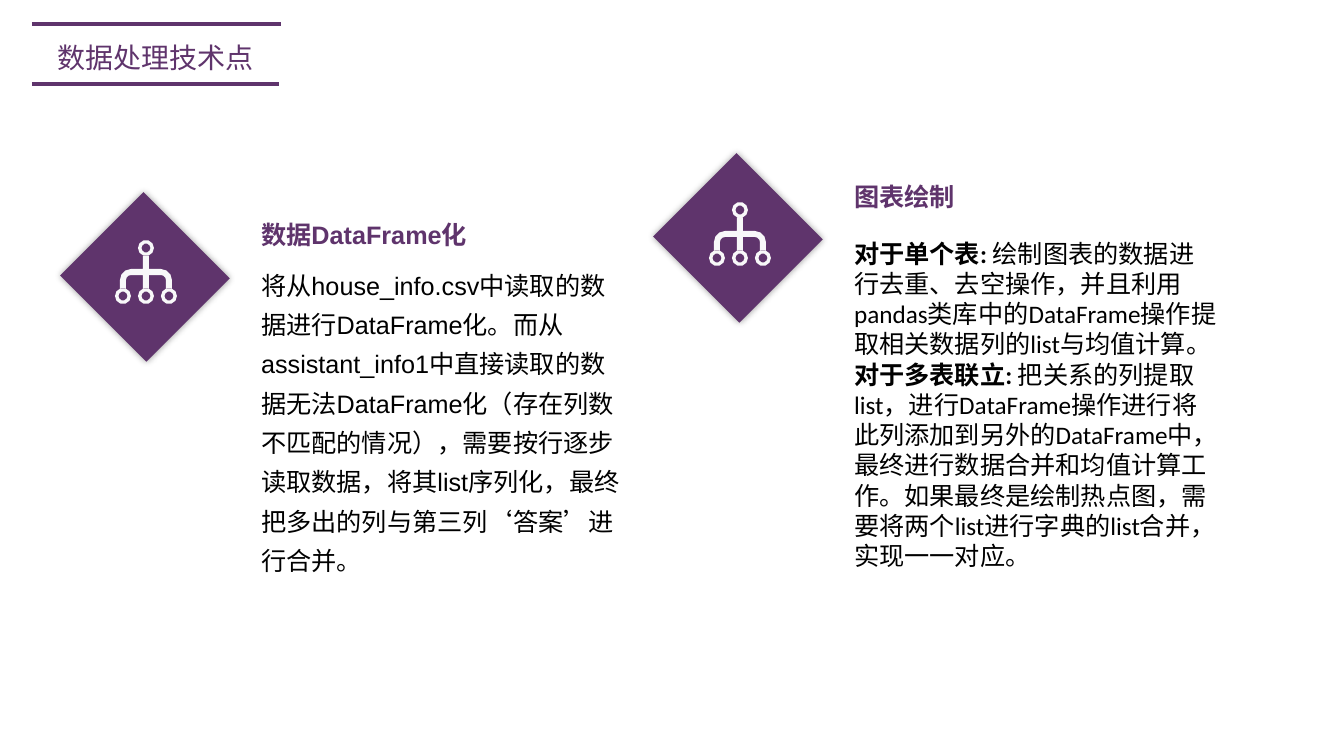
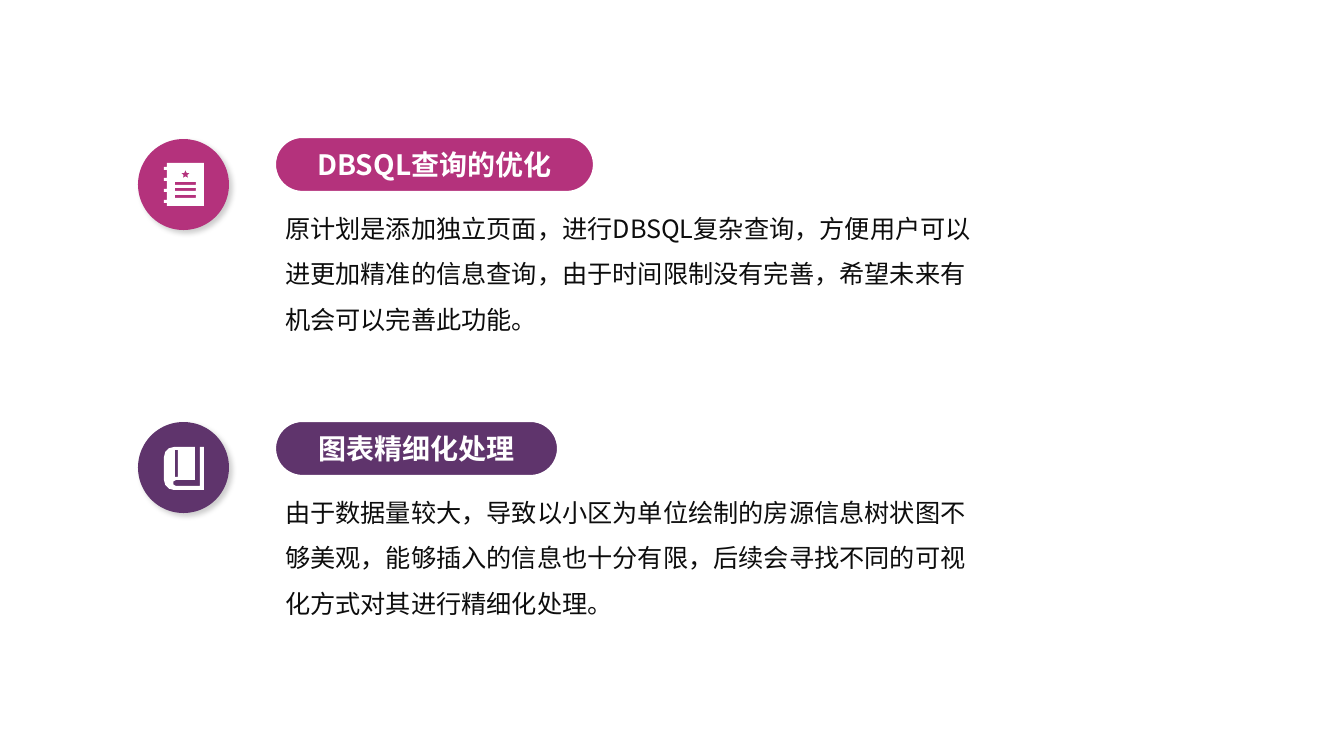
from math import cos, pi, sin

from lxml import etree
from pptx import Presentation
from pptx import util as u
from pptx.dml.color import RGBColor
from pptx.enum import shapes as kinds, text as t
from pptx.oxml.ns import qn

PX = 914400 / 100.8
HUES = {"plum": "5F346C", "pink": "B4327C", "white": "FFFFFF",
        "pale": "F8F8F9", "black": "000000", "ink": "0D0D0D"}
CJK = "Noto Sans CJK SC"

# Text looks: font, paragraph and frame values
LEFT, MID = t.PP_ALIGN.LEFT, t.PP_ALIGN.CENTER
TOP, CORE = t.MSO_ANCHOR.TOP, t.MSO_ANCHOR.MIDDLE
LOOKS = {
    name: {"hue": hue,
           "font": {"name": face, "size": u.Pt(size)},
           "para": {"alignment": align, "line_spacing": space,
                    "space_before": u.Pt(0)},
           "frame": {"word_wrap": True, "vertical_anchor": anchor,
                     "auto_size": t.MSO_AUTO_SIZE.NONE}}
    for name, face, size, hue, space, align, anchor in (
        ("title", CJK, 20, "plum", 1.2, MID, TOP),
        ("head", "Arial", 18, "plum", 1.0, LEFT, TOP),
        ("loose", "Arial", 18, "black", 1.3, LEFT, TOP),
        ("tight", "Calibri", 18, "black", 1.0, LEFT, TOP),
        ("pill", CJK, 20, "white", 1.0, MID, CORE),
        ("note", CJK, 18, "ink", 1.5, LEFT, TOP))
}


def write(shape, box, style, *runs):
    """Place a shape and fill it with one paragraph; runs are (text, bold)."""
    for name, length in zip(("left", "top", "width", "height"), box):
        setattr(shape, name, u.Emu(round(length * PX)))
    frame = shape.text_frame
    para = frame.paragraphs[0]
    for part, item in (("frame", frame), ("para", para)):
        for name, value in style[part].items():
            setattr(item, name, value)
    props = para._p.get_or_add_pPr()
    props.set("marL", "0")
    props.set("indent", "0")
    etree.SubElement(props, qn("a:buNone"))
    for words, bold in runs:
        run = para.add_run()
        run.text = words
        for name, value in (style["font"] | {"bold": bold}).items():
            setattr(run.font, name, value)
        run.font.color.rgb = RGBColor.from_string(HUES[style["hue"]])
        if style["font"]["name"] == CJK:
            etree.SubElement(run._r.rPr, qn("a:ea"), typeface=CJK)


def arc(x, y, r, start, end, steps=3):
    """Points along an arc, angles in degrees."""
    turns = [(start + (end - start) * i / steps) * pi / 180
             for i in range(steps + 1)]
    return [(x + r * cos(a), y + r * sin(a)) for a in turns]


# Icon outlines, in px from the icon's top left corner
tree = [
    [(5, 49), *arc(16, 40, 11, 180, 270), *arc(46, 40, 11, 270, 360), (57, 49),
     (51, 49), *arc(46, 40, 5, 360, 270), *arc(16, 40, 5, 270, 180), (11, 49)],
    [(28, 16), (34, 16), (34, 29), (28, 29)],
    [(28, 35), (34, 35), (34, 49), (28, 49)],
]
for x, y in ((31, 8), (8, 56), (31, 56), (54, 56)):
    tree += [arc(x, y, r, 0, 360, 10)[:-1] for r in (8, 4.5)]

edge = [p for y in range(4, 38, 11)
        for p in ((3, y), (0, y), (0, y + 3), (3, y + 3))]
star = [arc(21.5, 11.5, (4.5, 2)[i % 2], i * 36 - 90, 0)[0] for i in range(10)]
rows = [[(11, y), (32, y), (32, y + 3), (11, y + 3)] for y in (19, 25, 32)]
pad = [[(3, 0), *edge, (3, 43), (40, 43), (40, 0)], star, *rows]

book = [
    [(40, 0), (36, 0), (36, 39), *arc(12, 36, 3, 90, 270), (31, 33), (31, 0),
     *arc(10, 10, 10, 270, 180), *arc(10, 33, 10, 180, 90), (40, 43)],
    [(11, 3), (14, 3), (14, 30), (11, 30)],
]

# Deck
deck = Presentation()
deck.slide_width, deck.slide_height = u.Emu(round(1344 * PX)), u.Emu(round(756 * PX))
tech = deck.slides.add_slide(deck.slide_layouts[4])
plan = deck.slides.add_slide(deck.slide_layouts[3])
plan.shapes.title._element.getparent().remove(plan.shapes.title._element)

# Slide 1: title between two rules
for right, y in ((281, 24), (279, 84)):
    ends = [u.Emu(round(n * PX)) for n in (32, y, right, y)]
    rule = tech.shapes.add_connector(kinds.MSO_CONNECTOR.STRAIGHT, *ends)
    rule.line.color.rgb = RGBColor.from_string(HUES["plum"])
    rule.line.width = u.Pt(2.25)
    etree.SubElement(rule._element.spPr, qn("a:effectLst"))
write(tech.shapes.title, (32, 29, 247, 47), LOOKS["title"], ("数据处理技术点", False))

# Slide 1: two columns of heading and text
columns = [
    (251, 214, 256, "数据DataFrame化", "loose", [
        ("将从house_info.csv中读取的数据进行DataFrame化。而从assistant_info1中直接读取的"
         "数据无法DataFrame化（存在列数不匹配的情况），需要按行逐步读取数据，将其list序列化，"
         "最终把多出的列与第三列‘答案’进行合并。", False)]),
    (844, 176, 233, "图表绘制", "tight", [
        ("对于单个表: ", True),
        ("绘制图表的数据进行去重、去空操作，并且利用pandas类库中的DataFrame操作提取相关数据列的"
         "list与均值计算。", False),
        ("对于多表联立: ", True),
        ("把关系的列提取list，进行DataFrame操作进行将此列添加到另外的DataFrame中，最终进行数据"
         "合并和均值计算工作。如果最终是绘制热点图，需要将两个list进行字典的list合并，实现一一对应。",
         False)]),
]
slots = {p.placeholder_format.idx: p for p in tech.placeholders}
for i, (x, y, below, head, style, runs) in enumerate(columns):
    write(slots[1 + 2 * i], (x, y, 283, 45), LOOKS["head"], (head, True))
    write(slots[2 + 2 * i], (x, below, 384, 360), LOOKS[style], *runs)

# Slide 2: two pills, each with a note
plans = [
    (137, 319, "pink", "DBSQL查询的优化",
     "原计划是添加独立页面，进行DBSQL复杂查询，方便用户可以进更加精准的信息查询，"
     "由于时间限制没有完善，希望未来有机会可以完善此功能。"),
    (421, 283, "plum", "图表精细化处理",
     "由于数据量较大，导致以小区为单位绘制的房源信息树状图不够美观，"
     "能够插入的信息也十分有限，后续会寻找不同的可视化方式对其进行精细化处理。"),
]
slots = {p.placeholder_format.idx: p for p in plan.placeholders}
for slot, (y, wide, hue, head, note) in enumerate(plans, 1):
    pill = plan.shapes.add_shape(kinds.MSO_SHAPE.ROUNDED_RECTANGLE, 0, 0, 0, 0)
    pill.adjustments[0] = 0.5
    pill.shadow.inherit = False
    pill.fill.solid()
    pill.fill.fore_color.rgb = RGBColor.from_string(HUES[hue])
    pill.line.color.rgb = RGBColor.from_string(HUES["white"])
    pill.line.width = u.Pt(1.5)
    write(pill, (275, y, wide, 55), LOOKS["pill"], (head, True))
    write(slots[slot], (275, y + 56, 715, 142), LOOKS["note"], (note, False))

# Badges on both slides: shadowed shape with an icon
RECT, OVAL = kinds.MSO_SHAPE.RECTANGLE, kinds.MSO_SHAPE.OVAL
glow = {"alpha": 40, "blurRad": 5, "dist": 0, "dir": 0}
drop = {"alpha": 20, "blurRad": 4, "dist": 3, "dir": 45}
badges = [
    (tech, RECT, (84, 218, 122, 118), 45, "plum", glow, "pale", (115, 240), tree),
    (tech, RECT, (677, 179, 122, 118), 45, "plum", glow, "pale", (709, 202), tree),
    (plan, OVAL, (138, 139, 91, 91), 0, "pink", drop, "white", (164, 163), pad),
    (plan, OVAL, (138, 422, 91, 91), 0, "plum", drop, "white", (164, 447), book),
]
for slide, kind, box, turn, hue, shade, tint, spot, outline in badges:
    badge = slide.shapes.add_shape(kind, *[u.Emu(round(n * PX)) for n in box])
    badge.rotation = turn
    pen = None
    for loop in outline:
        dots = [(x * 10, y * 10) for x, y in loop]
        if pen is None:
            pen = slide.shapes.build_freeform(*dots[0], scale=PX / 10)
        else:
            pen.move_to(*dots[0])
        pen.add_line_segments(dots[1:], close=True)
    icon = pen.convert_to_shape(*[u.Emu(round(n * PX)) for n in spot])
    for shape, fill in ((badge, hue), (icon, tint)):
        shape.fill.solid()
        shape.fill.fore_color.rgb = RGBColor.from_string(HUES[fill])
        shape.line.fill.background()
        shape.shadow.inherit = False
    cast = etree.SubElement(
        badge._element.spPr.find(qn("a:effectLst")), qn("a:outerShdw"),
        blurRad=str(shade["blurRad"] * 12700), dist=str(shade["dist"] * 12700),
        dir=str(shade["dir"] * 60000), algn="ctr", rotWithShape="0")
    black = etree.SubElement(cast, qn("a:srgbClr"), val=HUES["black"])
    etree.SubElement(black, qn("a:alpha"), val=str(shade["alpha"] * 1000))

deck.save("out.pptx")
